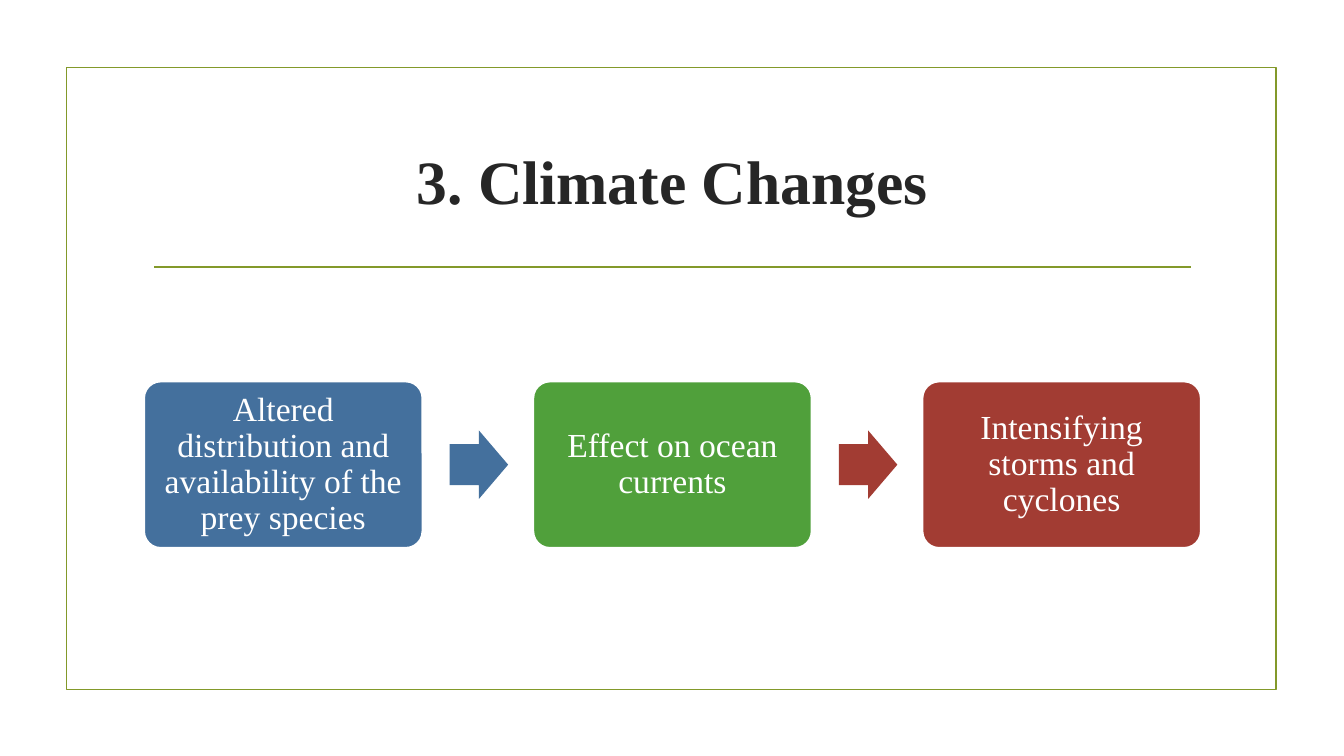
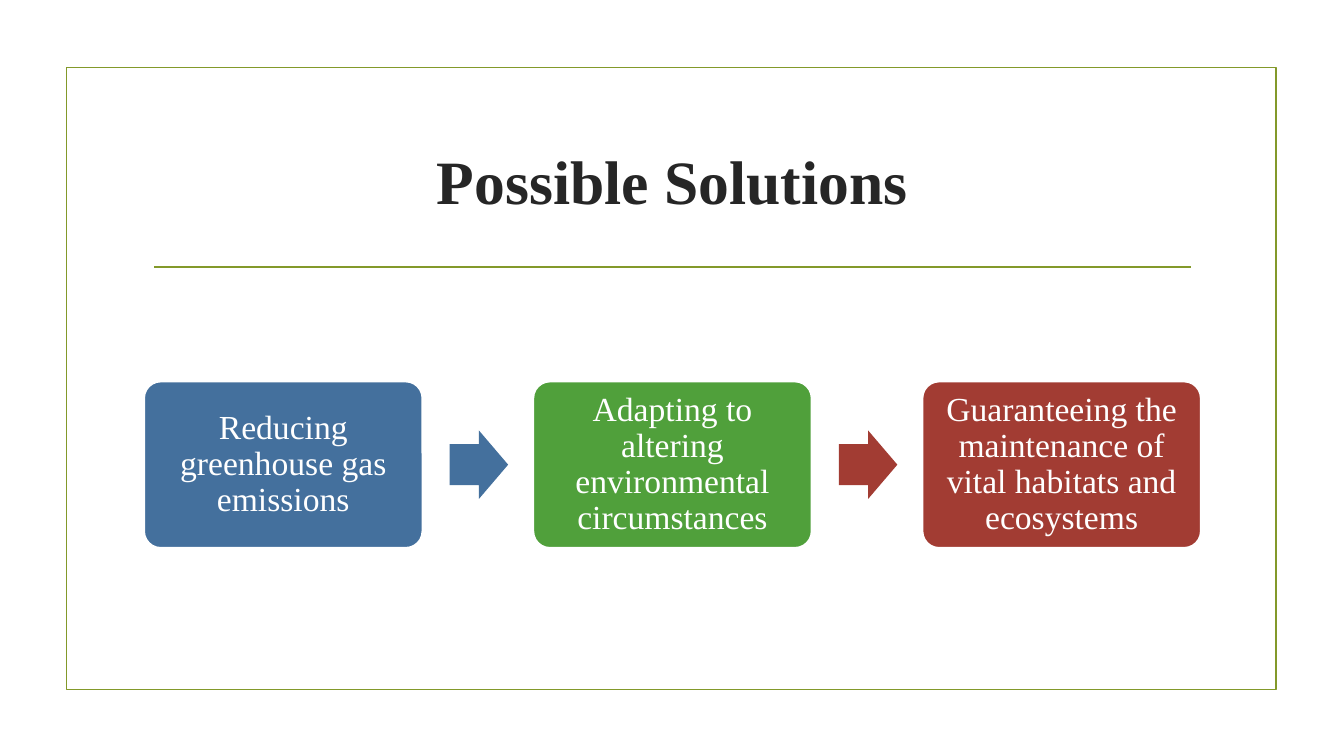
from pptx import Presentation
from pptx.dml.color import RGBColor as Rgb
from pptx.enum.shapes import MSO_CONNECTOR as Conn, MSO_SHAPE as Form
from pptx.enum.text import MSO_ANCHOR as Anchor, MSO_AUTO_SIZE as Auto, PP_ALIGN as Align
from pptx.oxml.ns import qn
from pptx.util import Inches, Pt
from lxml import etree

HUES = {
    "olive": "83992A",
    "ink": "262626",
    "white": "FFFFFF",
    "blue": "44709D",
    "green": "50A03B",
    "red": "A23C33",
}
FACE = "Times New Roman"
HEAD = {"name": FACE, "size": Pt(44), "bold": True}
BODY = {"name": FACE, "size": Pt(24), "bold": False}
FRAME = {"word_wrap": True, "auto_size": Auto.NONE, "vertical_anchor": Anchor.MIDDLE}
PAD = {"margin_left": Inches(0.15), "margin_right": Inches(0.15),
       "margin_top": Inches(0.1), "margin_bottom": Inches(0.1)}

# Flow geometry: left edge, step between boxes, middle line
LEFT, STEP, MID = 1.43, 3.86, 4.61
BOX_W, BOX_H = 2.76, 1.65
ARROW_W, ARROW_H, ARROW_GAP = 0.58, 0.68, 0.27
BOXES = ["blue", "green", "red"]
ARROWS = ["blue", "red"]

SLIDES = [
    ("3. Climate Changes", [
        "Altered distribution and availability of the prey species",
        "Effect on ocean currents",
        "Intensifying storms and cyclones",
    ]),
    ("Possible Solutions", [
        "Reducing greenhouse gas emissions",
        "Adapting to altering environmental circumstances",
        "Guaranteeing the maintenance of vital habitats and ecosystems",
    ]),
]


def apply(item, form):
    for key, value in form.items():
        setattr(item, key, value)


def tint(name):
    return Rgb.from_string(HUES[name])


def stroke(line, hue):
    line.color.rgb = tint(hue)
    line.width = Pt(1.25)


def write(shape, text, font, hue, **extra):
    frame = shape.text_frame
    frame.text = text
    apply(frame, FRAME)
    para = frame.paragraphs[0]
    apply(para, {"alignment": Align.CENTER, **extra})
    face = para.runs[0].font
    apply(face, font)
    face.color.rgb = tint(hue)


def block(slide, form, at, fill=None, line=None, adjust=()):
    shape = slide.shapes.add_shape(form, *map(Inches, at))
    shape.shadow.inherit = False
    if fill:
        shape.fill.solid()
        shape.fill.fore_color.rgb = tint(fill)
    else:
        shape.fill.background()
    if line:
        stroke(shape.line, line)
    else:
        shape.line.fill.background()
    for i, value in enumerate(adjust):
        shape.adjustments[i] = value
    return shape


def rule(slide, left, right, top):
    line = slide.shapes.add_connector(Conn.STRAIGHT, *map(Inches, (left, top, right, top)))
    stroke(line.line, "olive")
    etree.SubElement(line._element.spPr, qn("a:effectLst"))


def base(deck, text):
    # Border, title and the rule below it
    slide = deck.slides.add_slide(deck.slide_layouts[5])
    block(slide, Form.RECTANGLE, (0.66, 0.67, 12, 6.17), line="olive")
    rule(slide, 1.53, 11.81, 2.65)
    title = slide.shapes.title
    apply(title, {"left": Inches(1.42), "top": Inches(1.07),
                  "width": Inches(10.5), "height": Inches(1.43)})
    write(title, text, HEAD, "ink")
    return slide


def flow(slide, texts):
    # Boxes in a row
    for i, (text, hue) in enumerate(zip(texts, BOXES)):
        at = (LEFT + i * STEP, MID - BOX_H / 2, BOX_W, BOX_H)
        box = block(slide, Form.ROUNDED_RECTANGLE, at, hue, "white", [0.1])
        write(box, text, BODY, "white", line_spacing=0.9)
        apply(box.text_frame, PAD)
    # Arrows in the gaps
    for i, hue in enumerate(ARROWS):
        left = LEFT + i * STEP + BOX_W + ARROW_GAP
        at = (left, MID - ARROW_H / 2, ARROW_W, ARROW_H)
        block(slide, Form.RIGHT_ARROW, at, hue, adjust=[0.6, 0.5])


def main():
    deck = Presentation()
    apply(deck, {"slide_width": Inches(13.33), "slide_height": Inches(7.5)})
    for title, texts in SLIDES:
        flow(base(deck, title), texts)
    deck.save("out.pptx")


if __name__ == "__main__":
    main()
